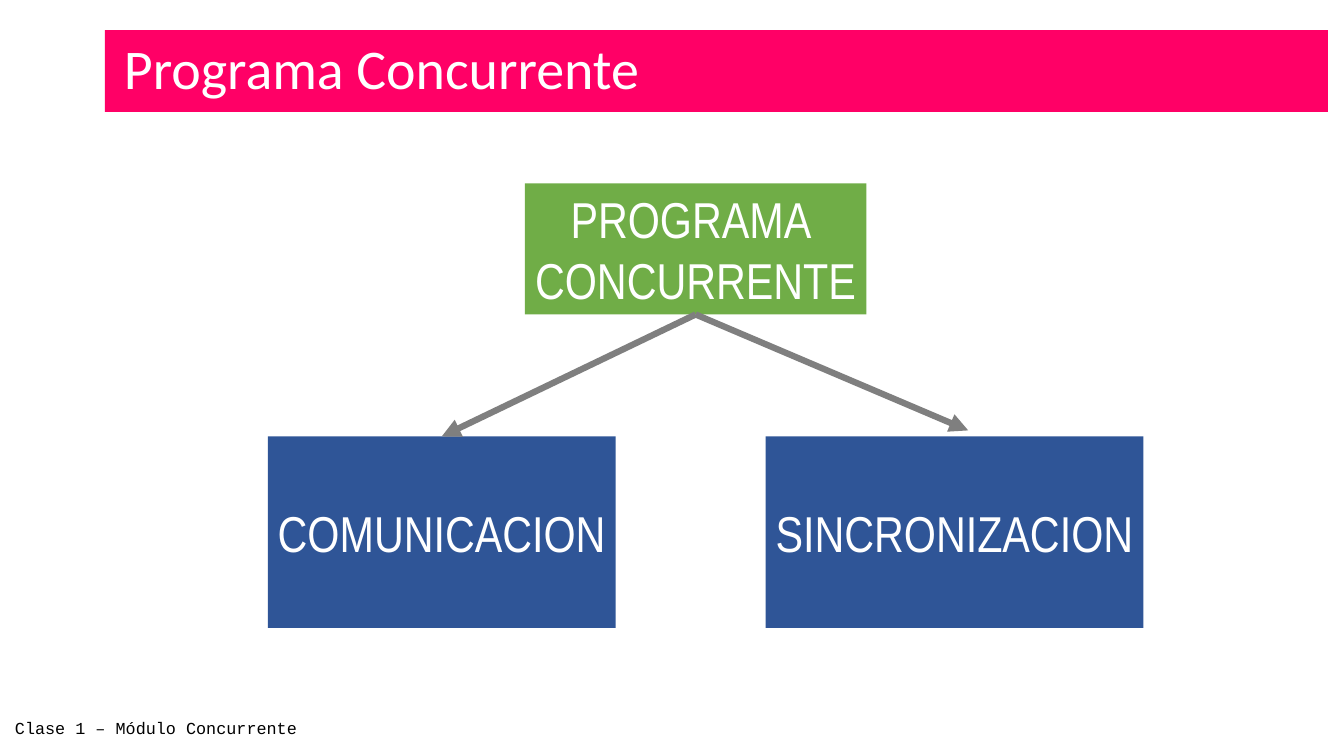
from pptx import Presentation
from pptx.dml.color import RGBColor as RGB
from pptx.enum.shapes import MSO_CONNECTOR as LINE, MSO_SHAPE as SHAPE
from pptx.enum.text import MSO_ANCHOR as ANCHOR, MSO_AUTO_SIZE as FIT, PP_ALIGN as ALIGN
from pptx.util import Inches, Pt
from lxml import etree

COLORS = {
    "pink": "FF0066",
    "green": "70AD47",
    "blue": "2F5597",
    "gray": "7F7F7F",
    "white": "FFFFFF",
    "black": "000000",
}
NS = "http://schemas.openxmlformats.org/drawingml/2006/main"


def color(name):
    return RGB.from_string(COLORS[name])


def paint(shape, name):
    shape.fill.solid()
    shape.fill.fore_color.rgb = color(name)


def write(frame, lines, font, size, ink, align=ALIGN.LEFT):
    frame.auto_size = FIT.NONE
    frame.vertical_anchor = ANCHOR.MIDDLE
    for i, text in enumerate(lines):
        para = frame.paragraphs[0] if i == 0 else frame.add_paragraph()
        para.alignment = align
        run = para.add_run()
        run.text = text
        run.font.name = font
        run.font.size = Pt(size)
        run.font.color.rgb = color(ink)


def place(shape, box):
    shape.left, shape.top, shape.width, shape.height = map(Inches, box)


def add_title(slide, box, text):
    title = slide.shapes.title
    place(title, box)
    paint(title, "pink")
    frame = title.text_frame
    frame.margin_left = Inches(0.19)
    frame.margin_bottom = Inches(0.13)
    write(frame, [text], "Calibri", 40, "white")


def add_footer(slide, box, text):
    note = slide.shapes.add_textbox(*map(Inches, box))
    note.text_frame.word_wrap = False
    write(note.text_frame, [text], "Courier New", 12, "black")


def add_node(slide, box, lines, fill):
    node = slide.shapes.add_shape(SHAPE.RECTANGLE, *map(Inches, box))
    node.shadow.inherit = False
    paint(node, fill)
    node.line.fill.background()
    node.text_frame.word_wrap = False
    write(node.text_frame, lines, "Arial Narrow", 36, "white", ALIGN.CENTER)
    return node


def add_arrow(slide, start, end):
    arrow = slide.shapes.add_connector(LINE.STRAIGHT, *map(Inches, start + end))
    arrow.line.color.rgb = color("gray")
    arrow.line.width = Pt(4.5)
    props = arrow.line._get_or_add_ln()
    etree.SubElement(props, f"{{{NS}}}tailEnd", type="triangle")
    etree.SubElement(arrow._element.spPr, f"{{{NS}}}effectLst")
    return arrow


def add_tree(slide, box):
    left, top, width, height = box
    low, tall = top + 2.51, 1.9
    root = add_node(slide, (left + 2.55, top, 3.39, 1.3),
                    ["PROGRAMA ", "CONCURRENTE"], "green")
    comm = add_node(slide, (left, low, 3.45, tall), ["COMUNICACION"], "blue")
    add_node(slide, (left + width - 3.75, low, 3.75, tall),
             ["SINCRONIZACION"], "blue")
    start = (left + 4.25, top + 1.3)
    to_comm = add_arrow(slide, start, (left + 1.73, low))
    to_sync = add_arrow(slide, start, (left + 6.95, low - 0.06))
    for arrow in (to_comm, to_sync):
        arrow.begin_connect(root, 2)
    to_comm.end_connect(comm, 0)


def main():
    deck = Presentation()
    deck.slide_width, deck.slide_height = Inches(13.34), Inches(7.5)
    slide = deck.slides.add_slide(deck.slide_layouts[5])
    add_title(slide, (1.04, 0.3, 12.14, 0.81), "Programa Concurrente")
    add_footer(slide, (0.05, 7.07, 3.01, 0.3), "Clase 1 – Módulo Concurrente")
    add_tree(slide, (2.66, 1.82, 8.69, 4.41))
    deck.save("out.pptx")


if __name__ == "__main__":
    main()
